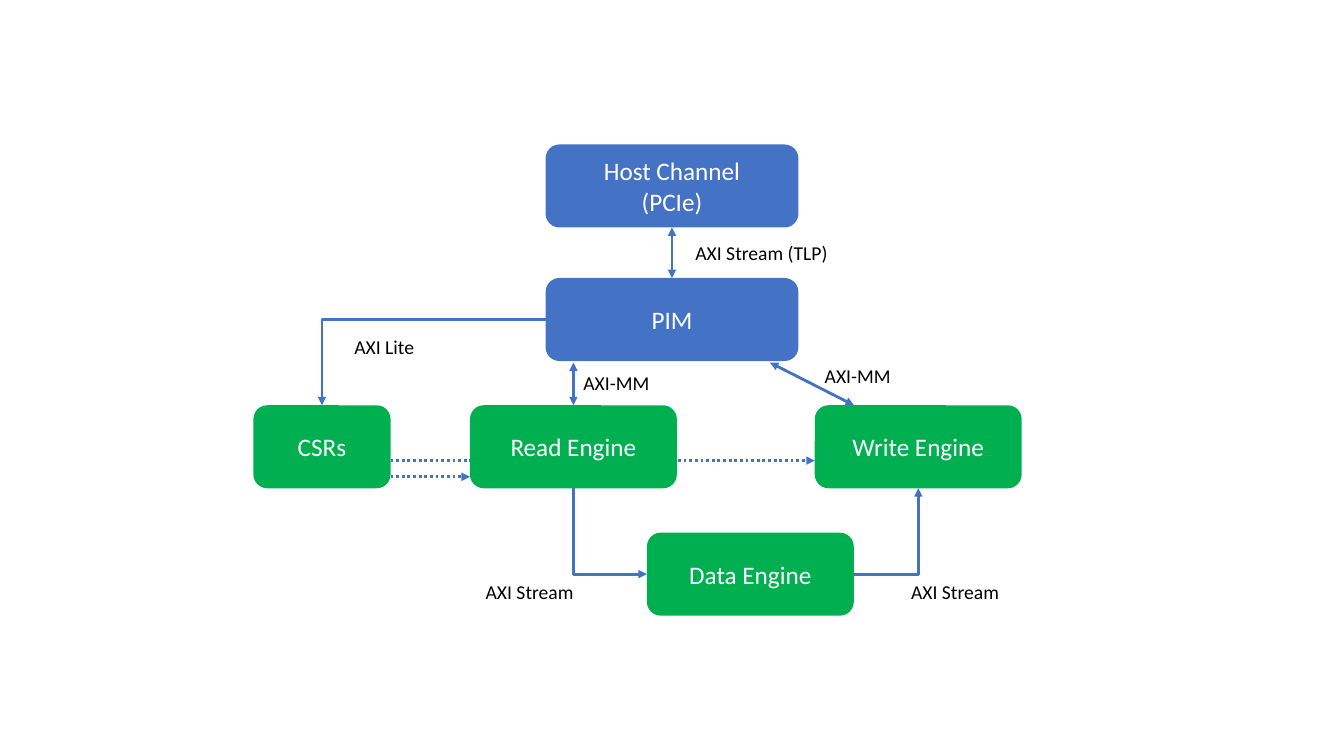
from pptx import Presentation
from pptx.dml.color import RGBColor
from pptx.enum.dml import MSO_LINE
from pptx.enum.shapes import MSO_CONNECTOR, MSO_SHAPE
from pptx.enum.text import MSO_ANCHOR, MSO_AUTO_SIZE, PP_ALIGN
from pptx.oxml.ns import qn
from pptx.util import Pt
from lxml.etree import SubElement

COLORS = {"blue": "4472C4", "green": "00B050", "white": "FFFFFF", "black": "000000"}
FONT = "Calibri"
BOX_H = 59.3
ENGINE_W = 147.8
TOP, LEFT, BOTTOM, RIGHT = range(4)


def rgb(name):
    return RGBColor.from_string(COLORS[name])


def add_run(p, text, size, color):
    r = p.add_run()
    r.text = text
    r.font.name = FONT
    r.font.size = Pt(size)
    r.font.color.rgb = rgb(color)


def add_block(s, lines, x, y, w, color):
    sp = s.shapes.add_shape(MSO_SHAPE.ROUNDED_RECTANGLE, Pt(x), Pt(y), Pt(w), Pt(BOX_H))
    sp.shadow.inherit = False
    sp.fill.solid()
    sp.fill.fore_color.rgb = rgb(color)
    sp.line.fill.background()
    tf = sp.text_frame
    tf.word_wrap = True
    tf.vertical_anchor = MSO_ANCHOR.MIDDLE
    p = tf.paragraphs[0]
    p.alignment = PP_ALIGN.CENTER
    for i, line in enumerate(lines):
        if i:
            p.add_line_break()
        add_run(p, line, 18, "white")
    return sp


def add_label(s, text, x, y, w):
    tf = s.shapes.add_textbox(Pt(x), Pt(y), Pt(w), Pt(24.2)).text_frame
    tf.word_wrap = True
    tf.auto_size = MSO_AUTO_SIZE.SHAPE_TO_FIT_TEXT
    add_run(tf.paragraphs[0], text, 14, "black")


def add_arrow(s, start, end, kind=MSO_CONNECTOR.STRAIGHT, ends=("tailEnd",), dotted=False):
    """Each end is a point (x, y) or a joined side (shape, site)."""
    joined = [not isinstance(e[0], (int, float)) for e in (start, end)]
    x1, y1 = (0, 0) if joined[0] else start
    x2, y2 = (0, 0) if joined[1] else end
    c = s.shapes.add_connector(kind, Pt(x1), Pt(y1), Pt(x2), Pt(y2))
    if joined[0]:
        c.begin_connect(*start)
    if joined[1]:
        c.end_connect(*end)
    c.line.color.rgb = rgb("blue")
    c.line.width = Pt(2)
    if dotted:
        c.line.dash_style = MSO_LINE.ROUND_DOT
    sp_pr = c._element.spPr
    for tag in ends:
        SubElement(sp_pr.find(qn("a:ln")), qn("a:" + tag), type="triangle")
    SubElement(sp_pr, qn("a:effectLst"))
    return c


def add_elbow(s, start, end, ends=("tailEnd",)):
    """One bend: horizontal from the start, then vertical to the end."""
    c = add_arrow(s, start, end, MSO_CONNECTOR.ELBOW, ends)
    c._element.spPr.find(qn("a:prstGeom")).set("prst", "bentConnector2")


def main():
    prs = Presentation()
    prs.slide_width, prs.slide_height = Pt(960), Pt(540)
    s = prs.slides.add_slide(prs.slide_layouts[6])

    # Control line to the write engine runs behind the read engine
    add_arrow(s, (279, 329), (582, 329), dotted=True)

    # Blocks
    host = add_block(s, ["Host Channel", "(PCIe)"], 389.7, 103.2, 180.6, "blue")
    pim = add_block(s, ["PIM"], 389.7, 198.6, 180.6, "blue")
    csrs = add_block(s, ["CSRs"], 181, 289.5, 98, "green")
    read = add_block(s, ["Read Engine"], 335.7, 289.5, ENGINE_W, "green")
    data = add_block(s, ["Data Engine"], 462.1, 380.5, ENGINE_W, "green")
    write = add_block(s, ["Write Engine"], 582, 289.5, ENGINE_W, "green")

    # Straight arrows
    both = ("headEnd", "tailEnd")
    add_arrow(s, (host, BOTTOM), (pim, TOP), ends=both)
    add_arrow(s, (409.6, 259), (read, TOP), ends=both)
    add_arrow(s, (550, 259), (610, 289.5), ends=both)
    add_arrow(s, (279, 340.6), (335.7, 340.6), dotted=True)

    # Bent arrows
    add_elbow(s, (pim, LEFT), (csrs, TOP))
    add_elbow(s, (data, LEFT), (read, BOTTOM), ends=("headEnd",))
    add_elbow(s, (data, RIGHT), (write, BOTTOM))

    # Bus labels
    for text, x, y, w in [
        ("AXI Stream (TLP)", 489.6, 168.7, 142),
        ("AXI Lite", 246, 235.4, 76),
        ("AXI-MM", 409.6, 261.7, 76),
        ("AXI-MM", 582, 256.5, 76),
        ("AXI Stream", 339.8, 410.4, 98),
        ("AXI Stream", 643.7, 410.4, 98),
    ]:
        add_label(s, text, x, y, w)

    prs.save("out.pptx")


if __name__ == "__main__":
    main()
